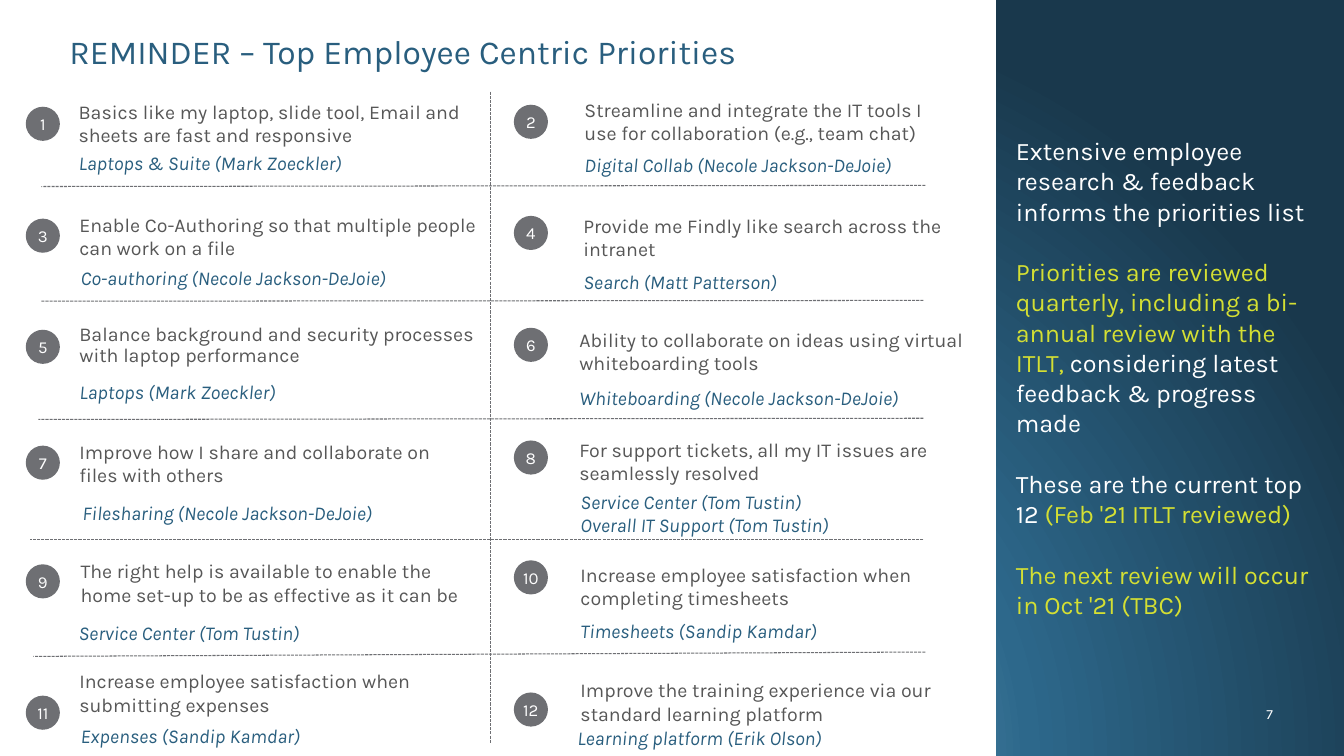
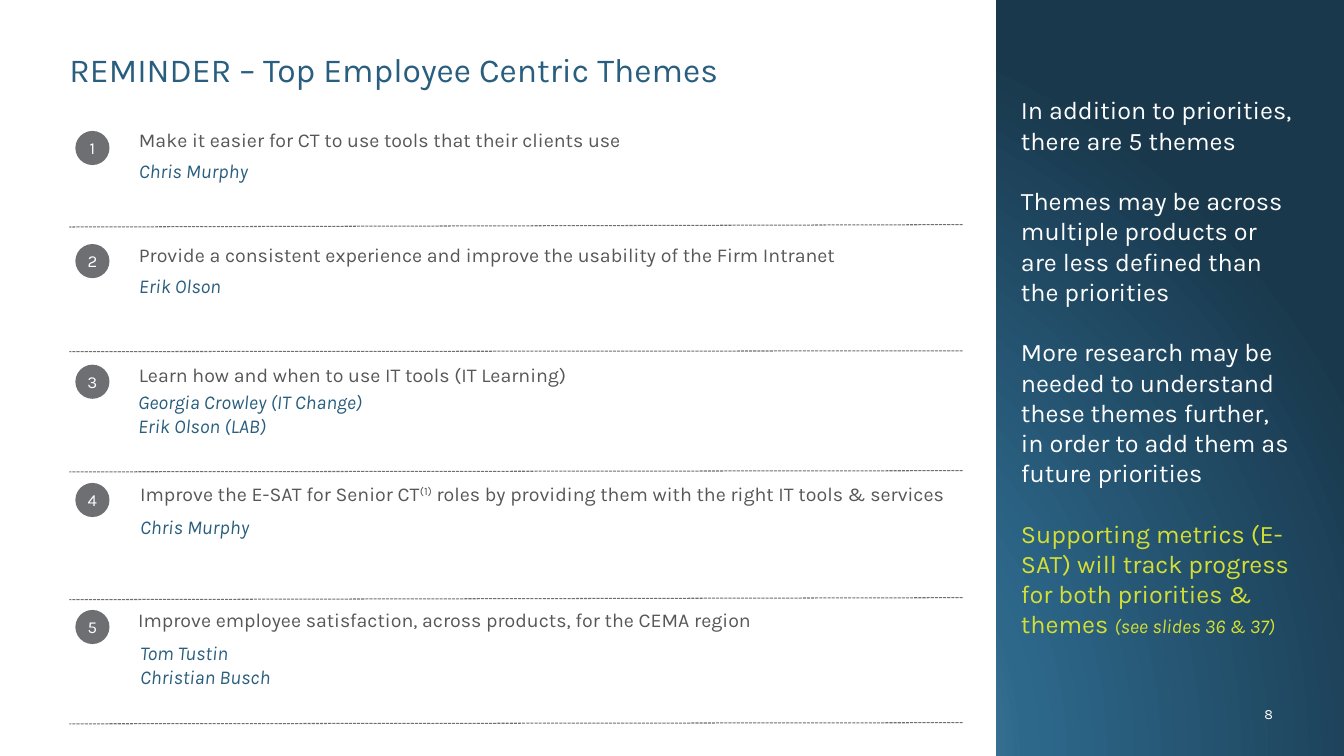
from dataclasses import dataclass
from typing import NamedTuple

from lxml.etree import SubElement
from pptx import Presentation
from pptx.dml.color import RGBColor
from pptx.enum.dml import MSO_LINE
from pptx.enum.shapes import MSO_CONNECTOR, MSO_SHAPE
from pptx.enum.text import MSO_ANCHOR, PP_ALIGN
from pptx.oxml import parse_xml
from pptx.oxml.ns import nsdecls, qn
from pptx.util import Cm, Pt


@dataclass(frozen=True)
class Theme:
    """Colours, font and type sizes of the deck."""
    font: str = "Karla"
    white: str = "FFFFFF"
    blue: str = "295E7E"
    text: str = "575757"
    gray: str = "6E6F73"
    lime: str = "D4DF33"
    gradient: tuple = ((0, "97C3DD"), (46, "2D688B"), (100, "19384C"))
    title_size: int = 24
    side_size: int = 18
    body_size: int = 14
    badge_size: int = 12
    number_size: int = 10
    side_gap: float = 21.6


class Box(NamedTuple):
    """A rectangle in centimetres."""
    left: float
    top: float
    width: float
    height: float


@dataclass(frozen=True)
class Span:
    """A stretch of text with one format."""
    text: str
    color: str
    size: float
    italic: bool = False
    raised: bool = False


@dataclass(frozen=True)
class Entry:
    """A numbered entry; places are centimetres from its column's corner."""
    text: tuple
    owners: tuple
    badge_top: float
    text_at: tuple
    width: float
    owner_at: tuple
    spacing: float = 1.0


THEME = Theme()
PANEL = Box(0, 0, 25.1, 19.05)
BADGE = 0.86


def body(text, raised=False):
    """Return a span in body style."""
    return Span(text, THEME.text, THEME.body_size, raised=raised)


def light(text):
    """Return a white sidebar span."""
    return Span(text, THEME.white, THEME.side_size)


def accent(text, size=THEME.side_size, italic=False):
    """Return a lime sidebar span."""
    return Span(text, THEME.lime, size, italic)


PRIORITIES_LEFT = (
    Entry((body("Basics like my laptop, slide tool, Email and sheets are fast and responsive"),),
          ("Laptops & Suite (Mark Zoeckler)",), 2.69, (1.08, 2.39), 10.95, (1.08, 4.11)),
    Entry((body("Enable Co-Authoring so that multiple people can work on a file"),),
          ("Co-authoring (Necole Jackson-DeJoie)",), 5.51, (1.1, 5.23), 10.97, (1.13, 6.99)),
    Entry((body("Balance background and security processes with laptop performance"),),
          ("Laptops (Mark Zoeckler)",), 8.31, (1.1, 8.05), 10.95, (1.1, 9.88), 0.9),
    Entry((body("Improve how I share and collaborate on files with others"),),
          ("Filesharing (Necole Jackson-DeJoie)",), 11.23, (1.1, 10.95), 10.16, (1.18, 12.93)),
    Entry((body("The right help is available to enable the home set-up to be as effective as it can be"),),
          ("Service Center (Tom Tustin)",), 14.22, (1.13, 13.97), 10.36, (1.08, 15.93)),
    Entry((body("Increase employee satisfaction when submitting expenses"),),
          ("Expenses (Sandip Kamdar)",), 17.53, (1.1, 16.74), 10.57, (1.13, 18.54)),
)

PRIORITIES_RIGHT = (
    Entry((body("Streamline and integrate the IT tools I use for collaboration (e.g., team chat)"),),
          ("Digital Collab (Necole Jackson-DeJoie)",), 2.64, (1.53, 2.34), 9.85, (1.53, 4.14)),
    Entry((body("Provide me Findly like search across the intranet"),),
          ("Search (Matt Patterson)",), 5.44, (1.5, 5.26), 10.03, (1.5, 7.09)),
    Entry((body("Ability to collaborate on ideas using virtual whiteboarding tools"),),
          ("Whiteboarding (Necole Jackson-DeJoie)",), 8.26, (1.4, 8.13), 10.95, (1.4, 10.01)),
    Entry((body("For support tickets, all my IT issues are seamlessly resolved"),),
          ("Service Center (Tom Tustin)", "Overall IT Support (Tom Tustin)"),
          11.1, (1.4, 10.9), 10.11, (1.43, 12.93)),
    Entry((body("Increase employee satisfaction when completing timesheets"),),
          ("Timesheets (Sandip Kamdar)",), 14.12, (1.43, 14.05), 10.95, (1.43, 15.9)),
    Entry((body("Improve the training experience via our standard learning platform"),),
          ("Learning platform (Erik Olson)",), 17.45, (1.43, 16.97), 9.8, (1.35, 18.59)),
)

THEMES = (
    Entry((body("Make it easier for CT to use tools that their clients use"),),
          ("Chris Murphy",), 3.3, (1.35, 3.1), 21, (1.35, 4.29)),
    Entry((body("Provide a consistent experience and improve the usability of the Firm Intranet"),),
          ("Erik Olson",), 6.15, (1.35, 5.99), 21, (1.35, 7.2)),
    Entry((body("Learn how and when to use IT tools (IT Learning)"),),
          ("Georgia Crowley (IT Change)", "Erik Olson (LAB)"),
          9.19, (1.35, 9.02), 21, (1.33, 10.43)),
    Entry((body("Improve the E-SAT for Senior CT"), body("(1)", raised=True),
           body(" roles by providing them with the right IT tools & services")),
          ("Chris Murphy",), 12.17, (1.38, 12.01), 21, (1.38, 13.27)),
    Entry((body("Improve employee satisfaction, across products, for the CEMA region"),),
          ("Tom Tustin", "Christian Busch"), 15.37, (1.33, 15.19), 21, (1.38, 16.75)),
)

PRIORITY_RULES = (
    (23.32, 4.67, 1.04, 4.7),
    (23.27, 7.57, 1.04, 7.59),
    (23.27, 10.54, 0.97, 10.57),
    (23.27, 13.59, 0.76, 13.59),
    (23.32, 16.43, 0.84, 16.54),
    (12.37, 2.31, 12.37, 18.72),
)
THEME_RULES = tuple(
    (24.26, right, 1.75, left)
    for right, left in ((5.66, 5.72), (8.84, 8.86), (11.86, 11.89), (15.06, 15.11), (18.21, 18.24))
)

PRIORITY_NOTES = (
    (light("Extensive employee research & feedback informs the priorities list"),),
    (accent("Priorities are reviewed quarterly, including a bi-annual review with the ITLT, "),
     light("considering latest feedback & progress made")),
    (light("These are the current top 12 "), accent("(Feb '21 ITLT reviewed)")),
    (accent("The next review will occur in Oct '21 (TBC)"),),
)
THEME_NOTES = (
    (light("In addition to priorities, there are 5 themes"),),
    (light("Themes may be across multiple products or are less defined than the priorities"),),
    (light("More research may be needed to understand these themes further, "
           "in order to add them as future priorities"),),
    (accent("Supporting metrics (E-SAT) will track progress for both priorities & themes "),
     accent("(see slides 36 & 37)", THEME.body_size, True)),
)


def lengths(box):
    """Return a box's four values as lengths."""
    return [Cm(value) for value in box]


def fill_frame(frame, paragraphs, anchor=MSO_ANCHOR.TOP, align=PP_ALIGN.LEFT,
               inset=True, spacing=1.0, gap=0):
    """Write paragraphs of spans into a text frame."""
    frame.word_wrap = True
    frame.vertical_anchor = anchor
    if not inset:
        frame.margin_left = frame.margin_right = frame.margin_top = frame.margin_bottom = 0
    for index, spans in enumerate(paragraphs):
        para = frame.add_paragraph() if index else frame.paragraphs[0]
        para.alignment = align
        para.line_spacing = spacing
        if index and gap:
            para.space_before = Pt(gap)
        for span in spans:
            run = para.add_run()
            run.text = span.text
            run.font.name = THEME.font
            run.font.size = Pt(span.size)
            run.font.italic = span.italic
            run.font.color.rgb = RGBColor.from_string(span.color)
            if span.raised:
                run._r.get_or_add_rPr().set("baseline", "30000")


def add_text(page, box, paragraphs, **options):
    """Add a text box."""
    fill_frame(page.shapes.add_textbox(*lengths(box)).text_frame, paragraphs, **options)


def add_filled(page, kind, box, color):
    """Add a preset shape without outline or shadow."""
    shape = page.shapes.add_shape(kind, *lengths(box))
    shape.shadow.inherit = False
    shape.fill.solid()
    shape.fill.fore_color.rgb = RGBColor.from_string(color)
    shape.line.fill.background()
    return shape


def add_rules(page, rules):
    """Add the dashed divider lines."""
    for rule in rules:
        line = page.shapes.add_connector(MSO_CONNECTOR.STRAIGHT, *lengths(rule))
        line.line.color.rgb = RGBColor.from_string(THEME.gray)
        line.line.width = Pt(0.75)
        line.line.dash_style = MSO_LINE.SQUARE_DOT
        SubElement(line._element.spPr, qn("a:effectLst"))


def add_entries(page, column, entries, first=1, step=1):
    """Place numbered entries with their owners in a column."""
    for index, entry in enumerate(entries):
        badge = add_filled(page, MSO_SHAPE.OVAL,
                           Box(column.left, column.top + entry.badge_top, BADGE, BADGE), THEME.gray)
        number = Span(str(first + index * step), THEME.white, THEME.badge_size)
        fill_frame(badge.text_frame, [[number]], anchor=MSO_ANCHOR.MIDDLE,
                   align=PP_ALIGN.CENTER, inset=False)
        text_x, text_y = entry.text_at
        add_text(page, Box(column.left + text_x, column.top + text_y, entry.width, 1.45),
                 [entry.text], spacing=entry.spacing)
        owner_x, owner_y = entry.owner_at
        height = 0.25 + 0.6 * len(entry.owners)
        add_text(page, Box(column.left + owner_x, column.top + owner_y - height / 2, 9.2, height),
                 [[Span(owner, THEME.blue, THEME.body_size, True)] for owner in entry.owners],
                 anchor=MSO_ANCHOR.MIDDLE)


def add_sidebar(page, box, notes):
    """Place the sidebar notes, centred vertically in a box."""
    add_text(page, box, notes, anchor=MSO_ANCHOR.MIDDLE, gap=THEME.side_gap)


def add_page(deck, title, title_top, number):
    """Add a page with its white panel, title and page number."""
    page = deck.slides.add_slide(deck.slide_layouts[6])
    add_filled(page, MSO_SHAPE.RECTANGLE, PANEL, THEME.white)
    add_text(page, Box(1.75, title_top, 22.5, 0.92),
             [[Span(title, THEME.blue, THEME.title_size)]], inset=False, spacing=0.9)
    add_text(page, Box(31.01, 17.78, 1.07, 0.43),
             [[Span(str(number), THEME.white, THEME.number_size)]],
             anchor=MSO_ANCHOR.BOTTOM, align=PP_ALIGN.RIGHT, inset=False)
    return page


def set_background(master):
    """Give the master a radial gradient background."""
    master.background.fill.gradient()
    old = master.element.find(".//" + qn("a:gradFill"))
    stops = "".join(f'<a:gs pos="{place * 1000}"><a:srgbClr val="{color}"/></a:gs>'
                    for place, color in THEME.gradient)
    old.getparent().replace(old, parse_xml(
        f'<a:gradFill {nsdecls("a")} rotWithShape="1"><a:gsLst>{stops}</a:gsLst>'
        '<a:path path="circle"><a:fillToRect l="50000" t="130000" r="50000" b="-30000"/>'
        '</a:path></a:gradFill>'))


def priorities_page(deck):
    """Build the page of twelve priorities in two columns."""
    page = add_page(deck, "REMINDER – Top Employee Centric Priorities", 0.89, 7)
    add_sidebar(page, Box(25.35, 0, 8.33, 19.02), PRIORITY_NOTES)
    add_rules(page, PRIORITY_RULES)
    add_entries(page, Box(0.65, 0, 11.7, 19.05), PRIORITIES_LEFT, first=1, step=2)
    add_entries(page, Box(12.95, 0, 12.1, 19.05), PRIORITIES_RIGHT, first=2, step=2)


def themes_page(deck):
    """Build the page of five themes."""
    page = add_page(deck, "REMINDER – Top Employee Centric Themes", 1.35, 8)
    add_sidebar(page, Box(25.48, 0.03, 7.47, 18.43), THEME_NOTES)
    add_rules(page, THEME_RULES)
    add_entries(page, Box(1.9, 0, 22.35, 19.05), THEMES)


def main():
    """Build and save the deck."""
    deck = Presentation()
    deck.slide_width, deck.slide_height = Cm(33.87), Cm(19.05)
    set_background(deck.slide_master)
    priorities_page(deck)
    themes_page(deck)
    deck.save("out.pptx")


if __name__ == "__main__":
    main()
